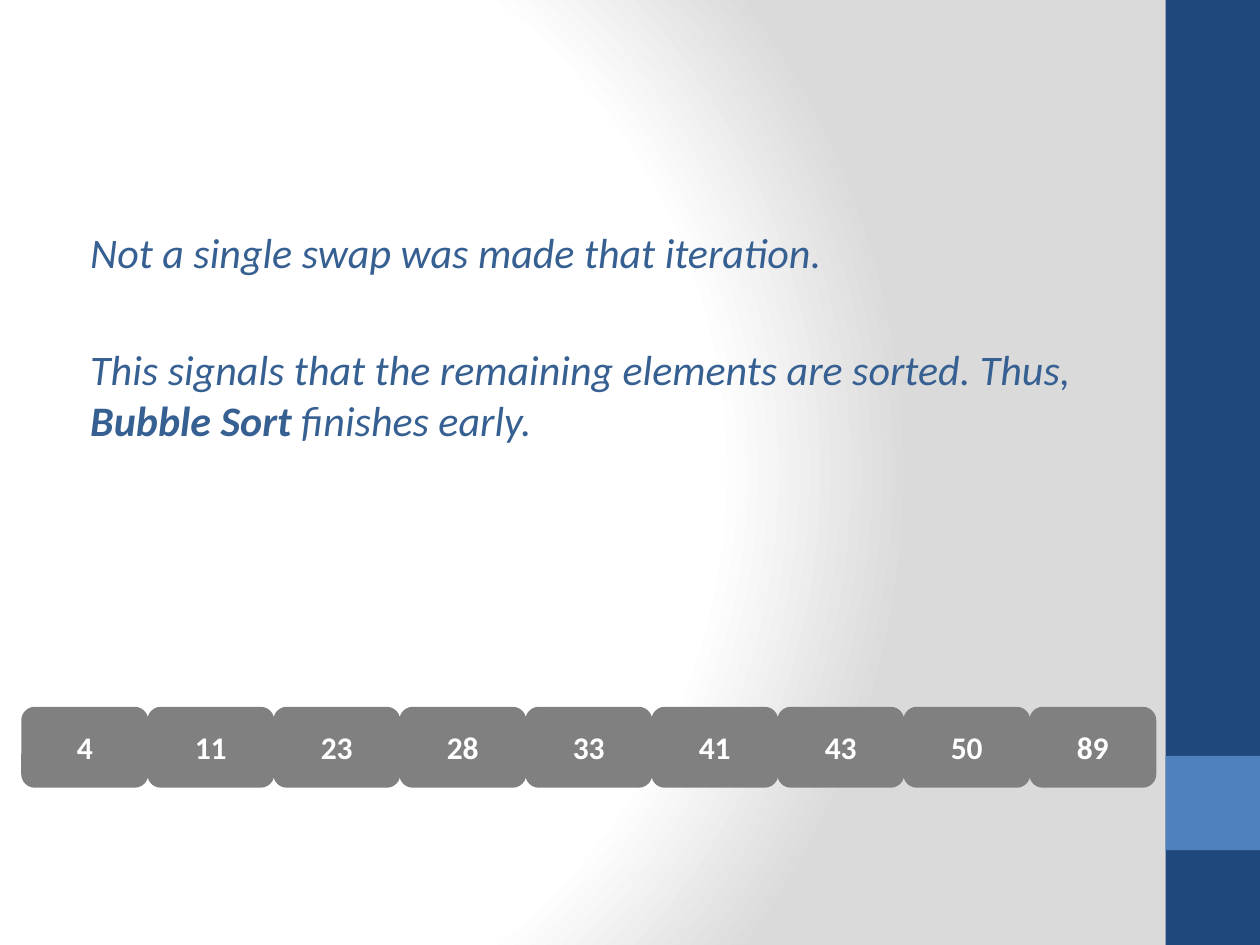
import lxml.etree
import pptx
import pptx.dml.color
import pptx.enum.shapes
import pptx.enum.text
import pptx.oxml
import pptx.oxml.ns
import pptx.util

Cm = pptx.util.Cm
Pt = pptx.util.Pt
SHAPE = pptx.enum.shapes.MSO_SHAPE

COLORS = {
    "navy": "1F497D",
    "blue": "4F81BD",
    "box": "808080",
    "message": "376092",
    "white": "FFFFFF",
    "shade": "DADADA",
}
VALUES = [4, 11, 23, 28, 33, 41, 43, 50, 89]


def rgb(name):
    """Return the named colour."""
    return pptx.dml.color.RGBColor.from_string(COLORS[name])


def set_background(s):
    """Fill the slide with a radial gradient, white to grey."""
    fill = s.background.fill
    fill.gradient()
    old = s.background._cSld.find(".//" + pptx.oxml.ns.qn("a:gradFill"))
    stops = "".join(
        f'<a:gs pos="{pos * 1000}"><a:srgbClr val="{COLORS[color]}"/></a:gs>'
        for pos, color in [(0, "white"), (75, "white"), (100, "shade")]
    )
    new = pptx.oxml.parse_xml(
        f'<a:gradFill {pptx.oxml.ns.nsdecls("a")} rotWithShape="1">'
        f"<a:gsLst>{stops}</a:gsLst>"
        '<a:path path="circle"><a:fillToRect l="20000" t="50000" '
        'r="100000" b="50000"/></a:path></a:gradFill>'
    )
    old.getparent().replace(old, new)


def add_text(p, text, size=18, color="white", bold=False, italic=False):
    """Append a formatted run to a paragraph."""
    r = p.add_run()
    r.text = text
    r.font.name = "Calibri"
    r.font.size = Pt(size)
    r.font.bold = bold
    r.font.italic = italic
    r.font.color.rgb = rgb(color)


def add_block(s, kind, left, top, width, height, color):
    """Add a flat filled shape, with lengths in centimetres."""
    sp = s.shapes.add_shape(kind, Cm(left), Cm(top), Cm(width), Cm(height))
    sp.shadow.inherit = False
    sp.fill.solid()
    sp.fill.fore_color.rgb = rgb(color)
    sp.line.fill.background()
    return sp


def add_element(s, index, value):
    """Add one array element as a rounded box with its value."""
    sp = add_block(s, SHAPE.ROUNDED_RECTANGLE,
                   0.43 + 2.54 * index, 14.25, 2.56, 1.63, "box")
    tf = sp.text_frame
    tf.vertical_anchor = pptx.enum.text.MSO_ANCHOR.MIDDLE
    p = tf.paragraphs[0]
    p.alignment = pptx.enum.text.PP_ALIGN.CENTER
    add_text(p, str(value), bold=True)


def add_message(s, paragraphs):
    """Add the message; each paragraph is (space before, runs)."""
    sp = s.shapes.add_textbox(Cm(1.27), Cm(4.45), Cm(21.16), Cm(13.34))
    tf = sp.text_frame
    tf.word_wrap = True
    for i, (space, runs) in enumerate(paragraphs):
        p = tf.add_paragraph() if i else tf.paragraphs[0]
        p.space_before = Pt(space)
        p._p.get_or_add_pPr().set("marL", str(Cm(0.3)))
        for text, bold in runs:
            add_text(p, text, size=24, color="message", bold=bold, italic=True)


def main():
    """Build and save the slide."""
    prs = pptx.Presentation()
    prs.slide_width, prs.slide_height = Cm(25.4), Cm(19.05)
    s = prs.slides.add_slide(prs.slide_layouts[6])
    set_background(s)
    add_block(s, SHAPE.RECTANGLE, 23.5, 0, 1.9, 19.05, "navy")
    add_block(s, SHAPE.RECTANGLE, 23.5, 15.24, 1.9, 1.9, "blue")
    add_message(s, [
        (1.5, [("Not a single swap was made that iteration.", False)]),
        (38, [("This signals that the remaining elements are sorted. Thus, ", False),
              ("Bubble Sort", True),
              (" finishes early.", False)]),
    ])
    for index, value in enumerate(VALUES):
        add_element(s, index, value)
    prs.save("out.pptx")


main()
